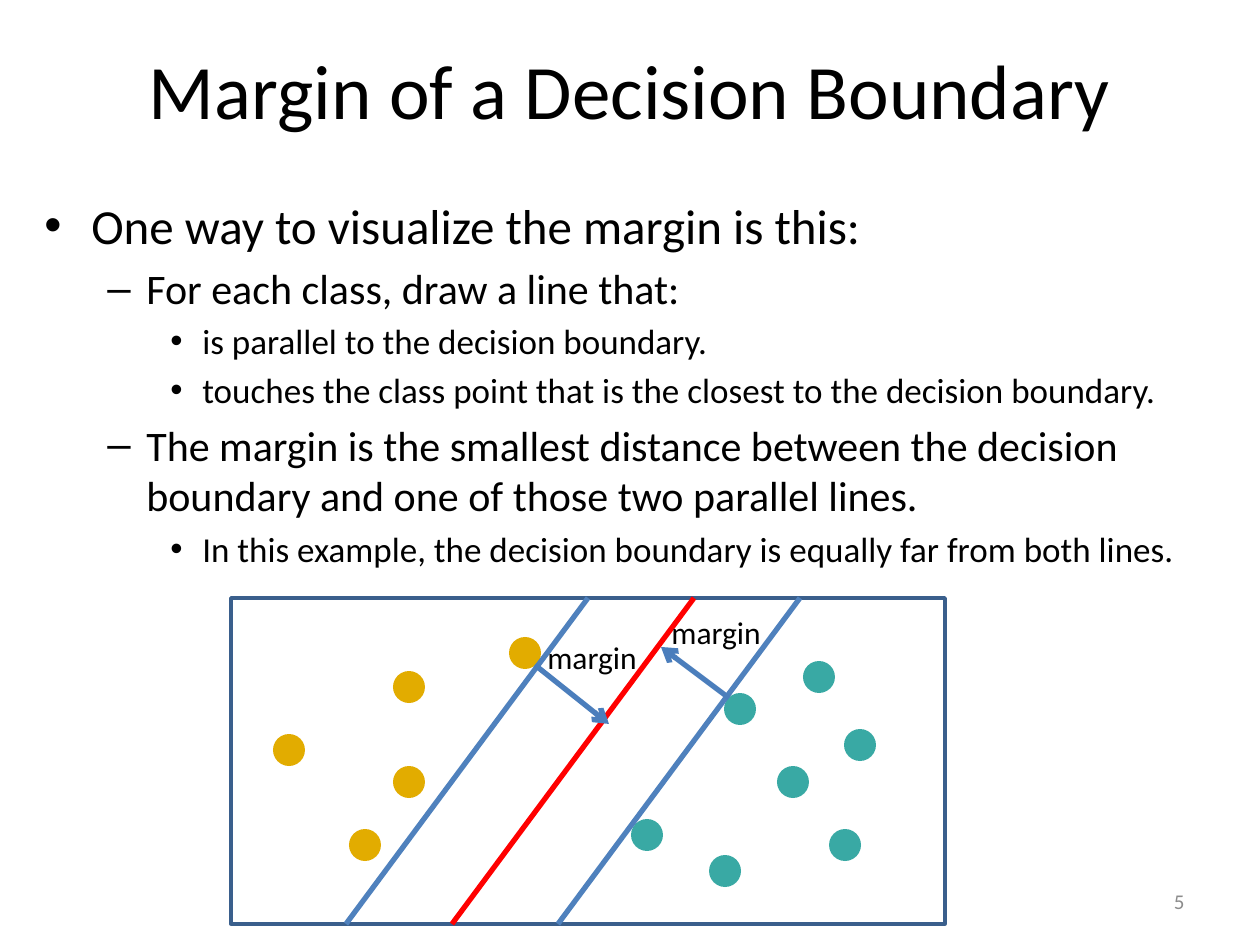
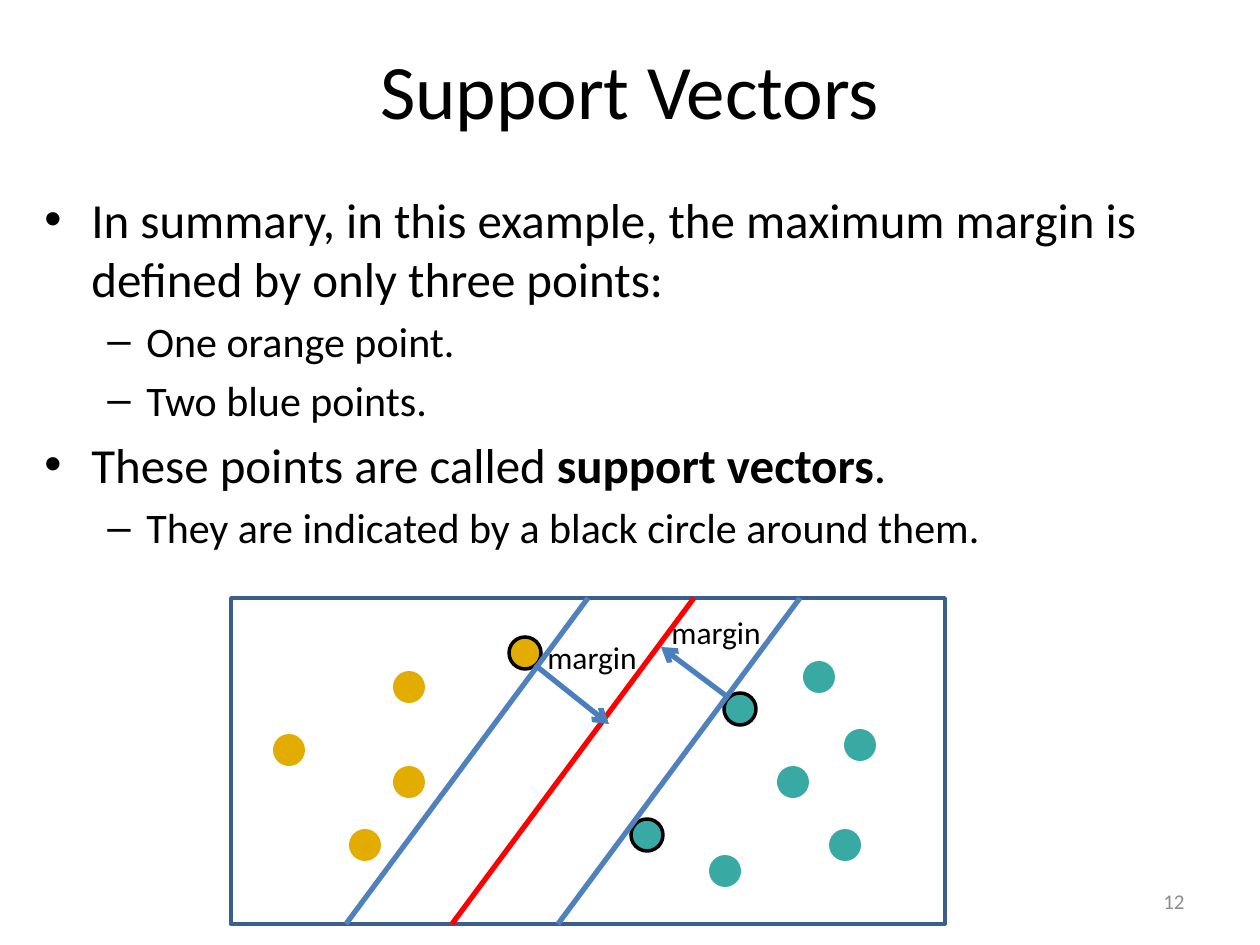
from lxml.etree import SubElement as Sub
from pptx import Presentation
from pptx.dml.color import RGBColor as Rgb
from pptx.enum.shapes import MSO_CONNECTOR as Conn, MSO_SHAPE as Kind
from pptx.enum.text import MSO_ANCHOR as Anchor, PP_ALIGN as Align
from pptx.oxml.ns import qn
from pptx.util import Pt

SCALE = 914400 / 126
FONT = "Calibri"
HUES = {"text": "000000", "page": "8C8C8C", "teal": "39A9A4", "gold": "E2AC00",
        "frame": "3A5F8C", "cut": "FF0000", "edge": "4F81BD", "arrow": "4B7EBC"}
LEVELS = [(28, 47, 47, "•"), (24, 102, 39, "–"), (20, 158, 32, "•")]
PANEL = (231, 598, 714, 326)
DOT = 32
SLANT = 242
DOTS = {"teal": [(613, 131), (546, 168), (598, 231), (572, 63),
                 (400, 221), (478, 257), (493, 95)],
        "gold": [(118, 231), (42, 136), (162, 73), (162, 168), (278, 39)]}
SUPPORT = {(400, 221), (493, 95), (278, 39)}
LINES = [(463, "cut"), (357, "edge"), (569, "edge")]
MARGINS = [((498, 100), (430, 49), (428, 9)), ((304, 67), (378, 126), (304, 34))]
SLIDES = [
    ("Margin of a Decision Boundary", "5", 189, False, [
        (0, "One way to visualize the margin is this:"),
        (1, "For each class, draw a line that:"),
        (2, "is parallel to the decision boundary."),
        (2, "touches the class point that is the closest to the decision boundary."),
        (1, "The margin is the smallest distance between the decision boundary"
            " and one of those two parallel lines."),
        (2, "In this example, the decision boundary is equally far from both lines.")]),
    ("Support Vectors", "12", 183, True, [
        (0, "In summary, in this example, the maximum margin is defined by only three points:"),
        (1, "One orange point."),
        (1, "Two blue points."),
        (0, "These points are called *support vectors*."),
        (1, "They are indicated by a black circle around them.")]),
]


def px(*vals):
    """Turn px lengths into EMU."""
    return [round(val * SCALE) for val in vals]


def ink(font, size, hue="text", bold=False):
    """Style a font."""
    font.name, font.size, font.bold = FONT, Pt(size), bold
    font.color.rgb = Rgb.from_string(HUES[hue])


def frame(slide, box, anchor=Anchor.TOP, wrap=True):
    """Add a text box and return its text frame."""
    text = slide.shapes.add_textbox(*px(*box)).text_frame
    text.word_wrap, text.vertical_anchor = wrap, anchor
    return text


def label(slide, box, words, size, hue="text", align=Align.LEFT,
          anchor=Anchor.MIDDLE, wrap=True):
    """Write a single line of text."""
    para = frame(slide, box, anchor, wrap).paragraphs[0]
    para.text, para.alignment = words, align
    ink(para.runs[0].font, size, hue)


def body(slide, box, items):
    """Write the bulleted list, with starred words in bold."""
    text = frame(slide, box)
    for num, (level, words) in enumerate(items):
        size, left, hang, mark = LEVELS[level]
        para = text.add_paragraph() if num else text.paragraphs[0]
        para.level = level
        para.space_before = Pt(size * 0.2 if num else 0)
        props = para._p.get_or_add_pPr()
        props.set("marL", str(px(left)[0]))
        props.set("indent", str(px(-hang)[0]))
        Sub(props, qn("a:buFont"), typeface="Arial")
        Sub(props, qn("a:buChar"), char=mark)
        for turn, part in enumerate(words.split("*")):
            run = para.add_run()
            run.text = part
            ink(run.font, size, bold=turn % 2 == 1)


def shape(group, kind, box, fill=None, line=None):
    """Add a flat shape with an optional fill and outline."""
    item = group.shapes.add_shape(kind, *px(*box))
    item.shadow.inherit = False
    if fill:
        item.fill.solid()
        item.fill.fore_color.rgb = Rgb.from_string(HUES[fill])
    else:
        item.fill.background()
    if line:
        item.line.color.rgb = Rgb.from_string(HUES[line])
        item.line.width = Pt(2)
    else:
        item.line.fill.background()


def stroke(slide, start, end, hue, head=False):
    """Draw a straight line, with an arrowhead if asked."""
    item = slide.shapes.add_connector(Conn.STRAIGHT, *px(*start, *end))
    item.line.color.rgb = Rgb.from_string(HUES[hue])
    item.line.width = Pt(3)
    if head:
        Sub(item.line._get_or_add_ln(), qn("a:tailEnd"), type="arrow")
    Sub(item._element.spPr, qn("a:effectLst"))


def plot(slide, box, ringed):
    """Draw the two classes, the boundary and its margins."""
    left, top, wide, high = box

    def at(spot):
        """Shift a point into the panel."""
        return left + spot[0], top + spot[1]

    group = slide.shapes.add_group_shape()
    for hue, spots in DOTS.items():
        for spot in spots:
            ring = "text" if ringed and spot in SUPPORT else None
            shape(group, Kind.OVAL, (*at(spot), DOT, DOT), hue, ring)
    shape(group, Kind.RECTANGLE, box, line="frame")
    for x, hue in LINES:
        stroke(slide, at((x, 0)), at((x - SLANT, high)), hue)
    for start, end, spot in MARGINS:
        stroke(slide, at(start), at(end), "arrow", True)
        label(slide, (*at(spot), 116, 50), "margin", 18, anchor=Anchor.TOP, wrap=False)


def build(deck, title, page, top, ringed, items):
    """Build one slide."""
    slide = deck.slides.add_slide(deck.slide_layouts[6])
    label(slide, (63, 21, 1134, 136), title, 44, align=Align.CENTER)
    body(slide, (32, top, 1187, 346), items)
    label(slide, (903, 876, 294, 50), page, 12, "page", Align.RIGHT)
    plot(slide, PANEL, ringed)


def main():
    """Build and save the deck."""
    deck = Presentation()
    deck.slide_width, deck.slide_height = px(1260, 945)
    for parts in SLIDES:
        build(deck, *parts)
    deck.save("out.pptx")


if __name__ == "__main__":
    main()
